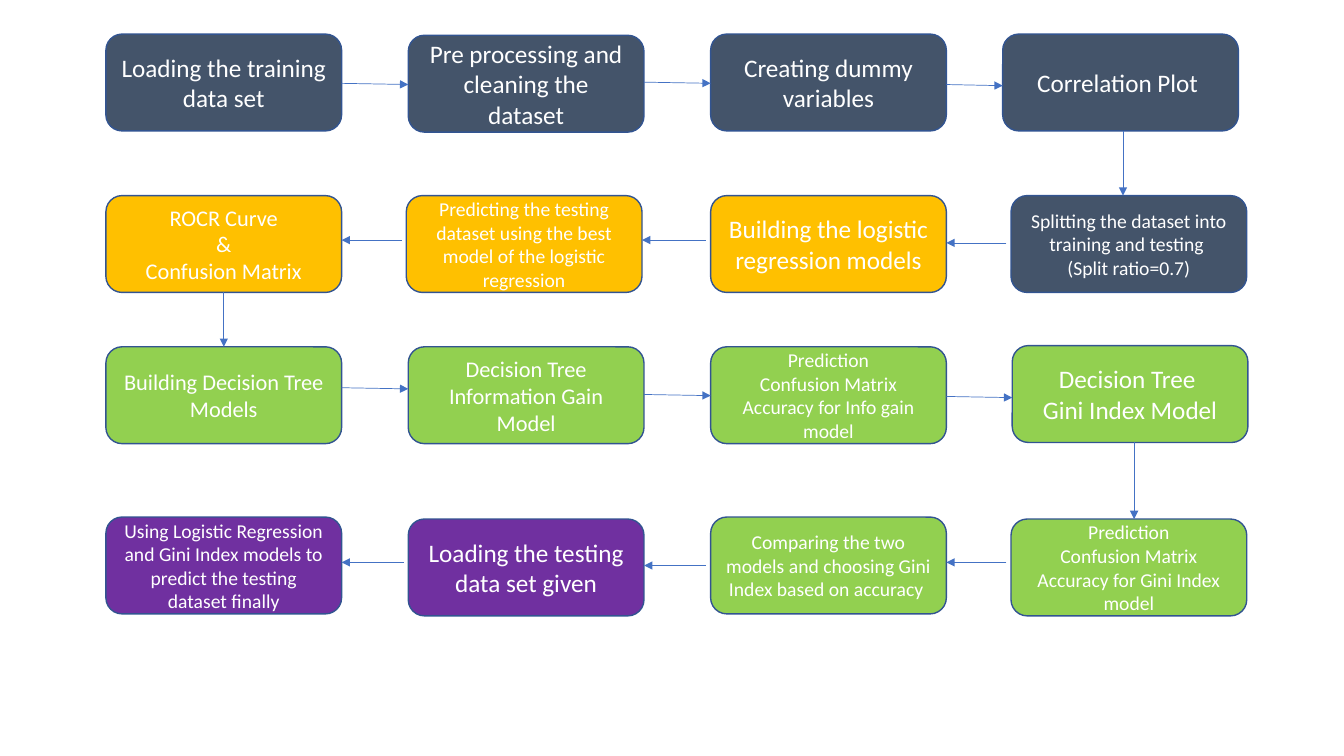
"""Builds a flow chart slide of a modelling process from data loading to final prediction."""
from lxml import etree
from pptx import Presentation
from pptx.dml.color import RGBColor
from pptx.enum.shapes import MSO_CONNECTOR, MSO_SHAPE
from pptx.enum.text import MSO_ANCHOR, PP_ALIGN
from pptx.oxml.ns import qn
from pptx.util import Cm, Pt

ROUNDED, STRAIGHT = MSO_SHAPE.ROUNDED_RECTANGLE, MSO_CONNECTOR.STRAIGHT
CENTER, MIDDLE = PP_ALIGN.CENTER, MSO_ANCHOR.MIDDLE
SLATE, AMBER, GREEN, PURPLE = "44546A", "FFC000", "92D050", "7030A0"
BORDER, ARROW, WHITE = "325491", "4472C4", "FFFFFF"

BOX_W, BOX_H = 5.94, 2.44
COLS = (2.67, 10.29, 17.91, 25.48)
ROWS = (0.86, 4.93, 8.74, 13.03)
GAP, SLOPE = 0.12, 0.03

# text, fill, size, nudge (x, y), arrow lane to the next step
STEPS = [
    ("Loading the training data set", SLATE, 18, (0, 0), 2.1),
    ("Pre processing and cleaning the dataset", SLATE, 18, (0, 0.03), 2.07),
    ("Creating dummy variables", SLATE, 18, (0, 0), 2.13),
    ("Correlation Plot ", SLATE, 18, (-0.21, 0), 28.3),
    ("Splitting the dataset into training and testing \n(Split ratio=0.7)", SLATE, 14, (0, 0), 6.12),
    ("Building the logistic regression models", AMBER, 18, (0, 0), 6.05),
    ("Predicting the testing dataset using the best model of the logistic regression",
     AMBER, 14, (-0.05, 0), 6.05),
    ("ROCR Curve\n&\nConfusion Matrix", AMBER, 16, (0, 0), 5.64),
    ("Building Decision Tree Models", GREEN, 16, (0, 0), 9.77),
    ("Decision Tree\nInformation Gain Model", GREEN, 16, (0, 0), 9.94),
    ("Prediction\nConfusion Matrix\vAccuracy for Info gain model", GREEN, 14, (0, 0), 9.99),
    ("Decision Tree \nGini Index Model", GREEN, 18, (0.03, -0.03), 28.58),
    ("Prediction\nConfusion Matrix\vAccuracy for Gini Index model", GREEN, 14, (0, 0.05), 14.17),
    ("Comparing the two models and choosing Gini Index based on accuracy ",
     GREEN, 14, (0, 0), 14.25),
    ("Loading the testing data set given", PURPLE, 18, (0, 0.05), 14.17),
    ("Using Logistic Regression and Gini Index models to predict the testing dataset finally",
     PURPLE, 14, (0, 0), None),
]


def rgb(value):
    """Turn a hex string into a colour."""
    return RGBColor.from_string(value)


def set_all(obj, **values):
    """Set several attributes of one object."""
    for name, value in values.items():
        setattr(obj, name, value)


def place(index):
    """Return the left and top of a step on the winding path."""
    row, col = divmod(index, 4)
    dx, dy = STEPS[index][3]
    return COLS[3 - col if row % 2 else col] + dx, ROWS[row] + dy


def add_box(s, index):
    """Draw one step as a rounded box."""
    text, fill, size, _, _ = STEPS[index]
    left, top = place(index)
    sp = s.shapes.add_shape(ROUNDED, Cm(left), Cm(top), Cm(BOX_W), Cm(BOX_H))
    sp.shadow.inherit = False
    sp.fill.solid()
    sp.fill.fore_color.rgb = rgb(fill)
    sp.line.color.rgb = rgb(BORDER)
    sp.line.width = Pt(1)
    tf = sp.text_frame
    set_all(tf, text=text, word_wrap=True, vertical_anchor=MIDDLE)
    for p in tf.paragraphs:
        p.alignment = CENTER
        for r in p.runs:
            set_all(r.font, name="Calibri", size=Pt(size))
            r.font.color.rgb = rgb(WHITE)


def add_arrow(s, index):
    """Draw the arrow from one step to the next."""
    lane = STEPS[index][4]
    (x1, y1), (x2, y2) = place(index), place(index + 1)
    row, col = divmod(index, 4)
    if col == 3:
        ends = lane, y1 + BOX_H, lane, y2
    elif row % 2:
        ends = x1 - GAP, lane, x2 + BOX_W, lane
    else:
        ends = x1 + BOX_W, lane, x2, lane + SLOPE
    line = s.shapes.add_connector(STRAIGHT, *map(Cm, ends))
    line.line.color.rgb = rgb(ARROW)
    line.line.width = Pt(0.5)
    etree.SubElement(line.line._get_or_add_ln(), qn("a:tailEnd"), type="triangle")
    etree.SubElement(line._element.spPr, qn("a:effectLst"))


prs = Presentation()
set_all(prs, slide_width=Cm(33.87), slide_height=Cm(19.05))
s = prs.slides.add_slide(prs.slide_layouts[6])
for i in range(len(STEPS)):
    add_box(s, i)
for i in range(len(STEPS) - 1):
    add_arrow(s, i)
prs.save("out.pptx")
